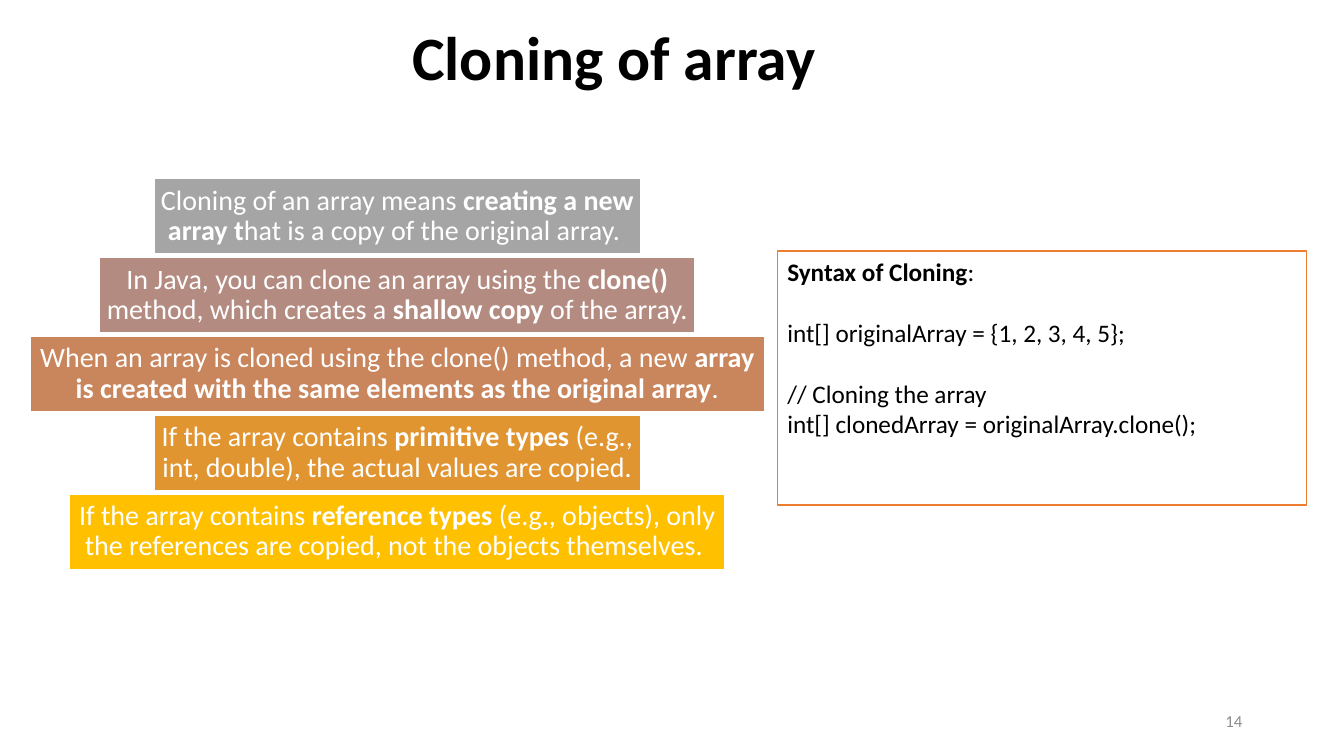
from pptx import Presentation
from pptx.dml.color import RGBColor
from pptx.enum.shapes import MSO_SHAPE
from pptx.enum.text import MSO_ANCHOR, PP_ALIGN
from pptx.util import Inches, Pt

RECTANGLE = MSO_SHAPE.RECTANGLE
TOP, MIDDLE = MSO_ANCHOR.TOP, MSO_ANCHOR.MIDDLE
LEFT, CENTER, RIGHT = PP_ALIGN.LEFT, PP_ALIGN.CENTER, PP_ALIGN.RIGHT

COLORS = {
    "black": "000000",
    "white": "FFFFFF",
    "page": "8C8C8C",
    "syntax_border": "ED7D31",
    "meaning": "A5A5A5",
    "method": "B48B81",
    "elements": "C9855C",
    "primitive": "E19530",
    "reference": "FFC000",
}

POINTS = [
    ("meaning", 4.82, ["Cloning of an array means ", "creating a new array t",
                       "hat is a copy of the original array. "]),
    ("method", 5.91, ["In Java, you can clone an array using the ", "clone()",
                      " method, which creates a ", "shallow copy", " of the array."]),
    ("elements", 7.28, ["When an array is cloned using the clone() method, a new ",
                        "array is created with the same elements as the original array", "."]),
    ("primitive", 4.82, ["If the array contains ", "primitive types",
                         " (e.g., int, double), the actual values are copied."]),
    ("reference", 6.5, ["If the array contains ", "reference types",
                        " (e.g., objects), only the references are copied, "
                        "not the objects themselves. "]),
]

SYNTAX = [
    (["", "Syntax of Cloning", ":"], 0),
    (["int[] originalArray = {1, 2, 3, 4, 5};"], 22),
    (["// Cloning the array"], 22),
    (["int[] clonedArray = originalArray.clone();"], 0),
]


def rgb(name):
    """Return the named colour."""
    return RGBColor.from_string(COLORS[name])


def write(shape, lines, size, color="black", align=LEFT, anchor=MIDDLE,
          spacing=None, margin=None):
    """Write (parts, space before) lines, whose odd-numbered parts are bold."""
    frame = shape.text_frame
    frame.word_wrap = True
    frame.vertical_anchor = anchor
    if margin is not None:
        frame.margin_left = frame.margin_right = Inches(margin)
        frame.margin_top = frame.margin_bottom = Inches(margin)
    for index, (parts, before) in enumerate(lines):
        paragraph = frame.add_paragraph() if index else frame.paragraphs[0]
        paragraph.alignment = align
        if spacing:
            paragraph.line_spacing = spacing
        if before:
            paragraph.space_before = Pt(before)
        for position, part in enumerate(parts):
            if not part:
                continue
            run = paragraph.add_run()
            run.text = part
            run.font.name = "Calibri"
            run.font.size = Pt(size)
            run.font.bold = position % 2 == 1
            run.font.color.rgb = rgb(color)


def add_panel(slide, left, top, width, height, fill, border):
    """Add a filled rectangle with a thin border."""
    panel = slide.shapes.add_shape(
        RECTANGLE, Inches(left), Inches(top), Inches(width), Inches(height))
    panel.shadow.inherit = False
    panel.fill.solid()
    panel.fill.fore_color.rgb = rgb(fill)
    panel.line.color.rgb = rgb(border)
    panel.line.width = Pt(1)
    return panel


def add_label(slide, left, top, width, height, parts, size, **style):
    """Add a line of text without a frame."""
    label = slide.shapes.add_textbox(
        Inches(left), Inches(top), Inches(width), Inches(height))
    write(label, [(parts, 0)], size, **style)


def add_points(slide, left, top, width, height):
    """Stack the centred bars of the cloning points evenly in the box."""
    bar_height = 0.75
    pitch = (height - bar_height) / (len(POINTS) - 1)
    for row, (fill, bar_width, parts) in enumerate(POINTS):
        bar = add_panel(slide, left + (width - bar_width) / 2, top + row * pitch,
                        bar_width, bar_height, fill, "white")
        write(bar, [(parts, 0)], 20, color="white", align=CENTER,
              spacing=0.9, margin=0.06)


def add_syntax(slide, left, top, width, height):
    """Add the bordered panel with the cloning code."""
    panel = add_panel(slide, left, top, width, height, "white", "syntax_border")
    write(panel, SYNTAX, 18, anchor=TOP)


def main():
    """Build and save the slide."""
    deck = Presentation()
    deck.slide_width, deck.slide_height = Inches(13.33), Inches(7.5)
    slide = deck.slides.add_slide(deck.slide_layouts[6])
    add_label(slide, 0.34, -0.12, 11.5, 1.45, ["", "Cloning of array"], 44,
              align=CENTER, spacing=0.9)
    add_label(slide, 9.42, 6.95, 3, 0.4, ["14"], 12, color="page", align=RIGHT)
    add_points(slide, 0.3, 1.77, 7.28, 3.88)
    add_syntax(slide, 7.71, 2.49, 5.25, 2.52)
    deck.save("out.pptx")


if __name__ == "__main__":
    main()
